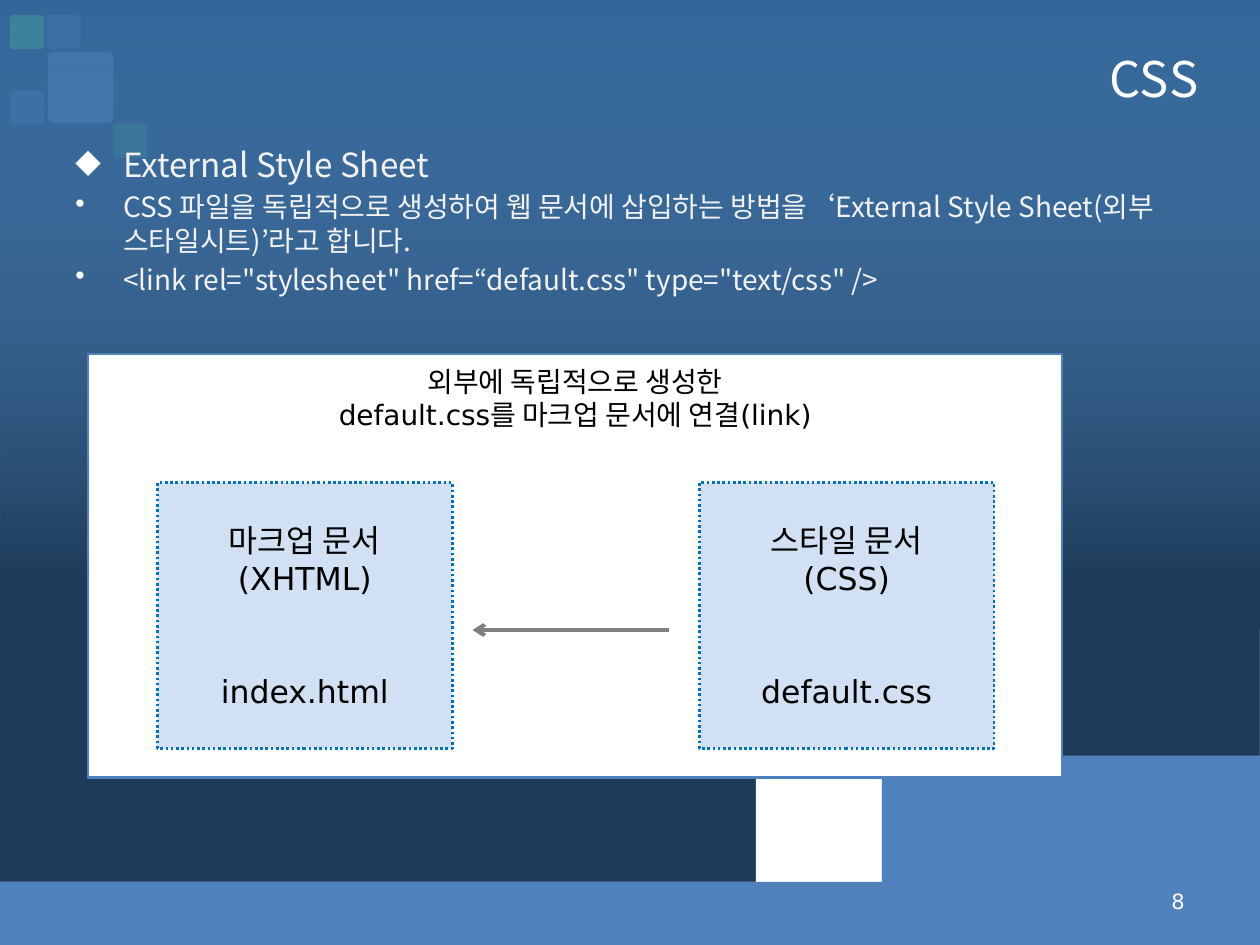
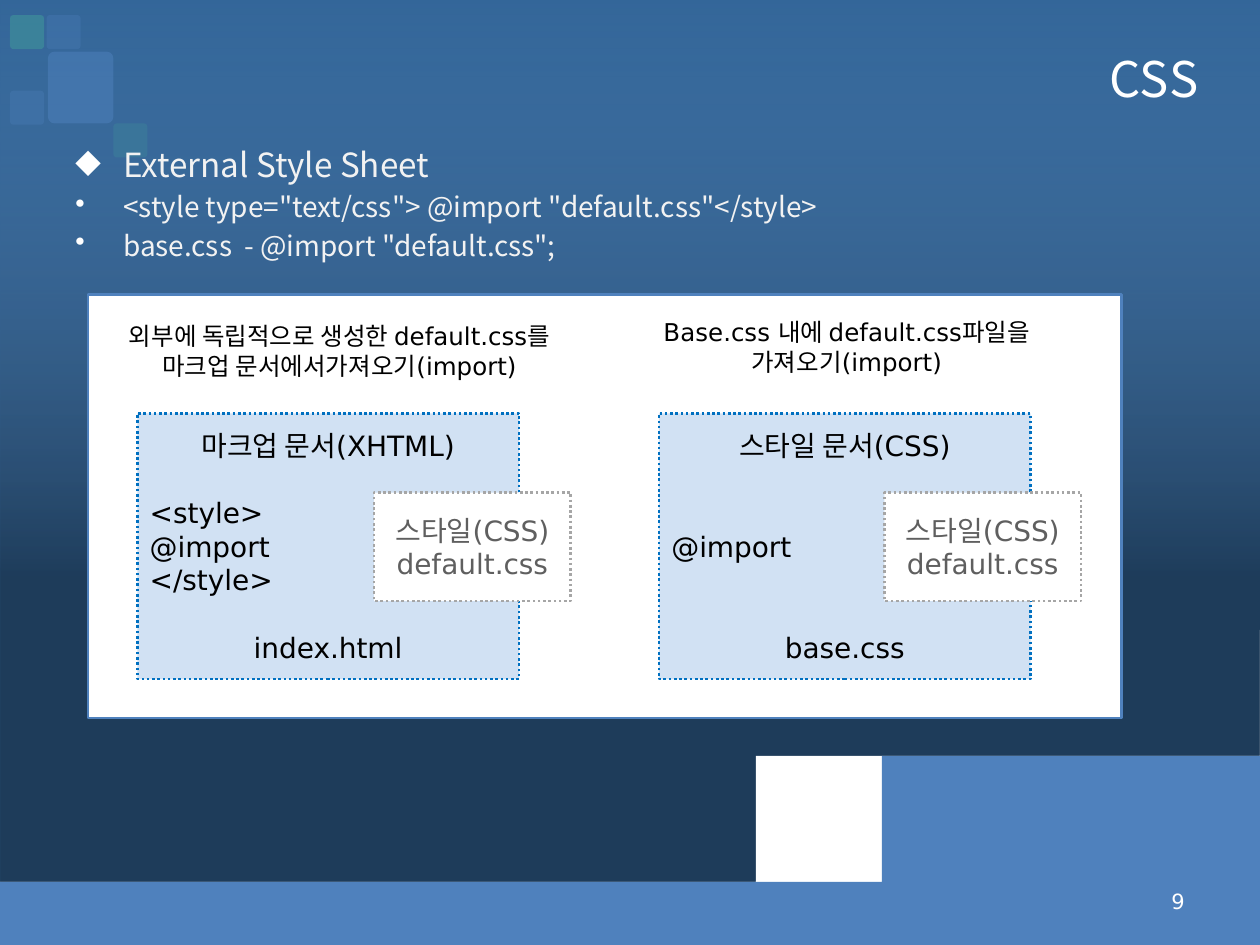
from lxml.etree import SubElement
from pptx import Presentation
from pptx.dml.color import RGBColor
from pptx.enum.dml import MSO_LINE
from pptx.enum.shapes import MSO_CONNECTOR, MSO_SHAPE
from pptx.enum.text import MSO_ANCHOR, PP_ALIGN
from pptx.oxml.ns import qn
from pptx.util import Inches, Pt

COLORS = {
    "base": "336699", "sky": "8DB3E2", "black": "000000", "white": "FFFFFF",
    "blue": "4F81BD", "teal": "3F949A", "body": "F2F2F2", "box": "D1E1F3",
    "box_line": "0070C0", "arrow": "808080", "tag_line": "A6A6A6", "tag_text": "5F5F5F",
}
SANS, KOREAN = "DejaVu Sans", "Noto Sans CJK KR"
LINE = 1.2  # line pitch as a multiple of the text size

# Upper edge of each wave: start point, then Bezier segments
WAVES = [
    ("white", (0, 6.78), [((1.61, 6.85), (2.93, 6.82), (5.21, 6.59)),
                          ((7.49, 6.36), (9.48, 5.59), (10, 5.4))]),
    ("blue", (0, 6.91), [((2.46, 6.99), (4.45, 6.86), (6.15, 6.68)),
                         ((7.84, 6.49), (9.59, 5.99), (10, 5.87))]),
]
# Corner tiles: left, top, width, height, colour, opacity
TILES = [
    (0.37, 0.12, 0.27, 0.27, "blue", 30),
    (0.08, 0.72, 0.27, 0.27, "blue", 30),
    (0.08, 0.12, 0.27, 0.27, "teal", 60),
    (0.9, 0.98, 0.27, 0.27, "teal", 30),
    (0.38, 0.41, 0.52, 0.57, "blue", 50),
]


def rgb(name):
    return RGBColor.from_string(COLORS[name])


def set_alpha(shape, *percents):
    """Set the opacity of the fill colours, in order."""
    for clr, pct in zip(shape.element.spPr.iter(qn("a:srgbClr")), percents):
        SubElement(clr, qn("a:alpha")).set("val", str(pct * 1000))


def bezier(p0, p1, p2, p3, steps=24):
    for t in (i / steps for i in range(1, steps + 1)):
        u = 1 - t
        yield tuple(u**3 * a + 3 * u * u * t * b + 3 * u * t * t * c + t**3 * d
                    for a, b, c, d in zip(p0, p1, p2, p3))


def add_text(tf, text, size=16, font=SANS, color="black", align=PP_ALIGN.CENTER,
             before=0, spacing=None, bullet=None, track=None):
    """Write one paragraph, using the empty first one if there is one."""
    p = tf.paragraphs[0]
    if p.runs:
        p = tf.add_paragraph()
    p.alignment, p.space_before = align, Pt(before)
    if spacing:
        p.line_spacing = spacing
    if bullet:
        pPr = p._p.get_or_add_pPr()
        pPr.set("marL", str(Inches(0.38)))
        pPr.set("indent", str(-Inches(0.38)))
        clr = SubElement(pPr, qn("a:buClr"))
        SubElement(clr, qn("a:srgbClr")).set("val", COLORS["white"])
        SubElement(pPr, qn("a:buChar")).set("char", bullet)
    r = p.add_run()
    r.text = text
    r.font.size, r.font.name = Pt(size), font
    r.font.color.rgb = rgb(color)
    if track:
        r._r.get_or_add_rPr().set("spc", str(track))
    return p


class Deck:
    def __init__(self):
        self.prs = Presentation()
        self.prs.slide_width, self.prs.slide_height = Inches(10), Inches(7.5)
        self.s = None

    def slide(self, title, number, heading, bullets):
        self.s = self.prs.slides.add_slide(self.prs.slide_layouts[6])
        self.backdrop()
        # Body
        tf = self.text_frame(0.5, 0.94, 9.11, 6.17)
        style = dict(font=KOREAN, color="body", align=PP_ALIGN.LEFT)
        add_text(tf, heading, size=19, before=4, spacing=1.5, bullet="◆", **style)
        for text in bullets:
            add_text(tf, text, before=3, bullet="•", **style)
        # Title and slide number
        tf = self.text_frame(0.5, 0.3, 9.11, 0.64, MSO_ANCHOR.MIDDLE)
        add_text(tf, title, size=28, font=KOREAN, color="white",
                 align=PP_ALIGN.RIGHT, track=50)
        tf = self.text_frame(7.17, 6.95, 2.33, 0.4, MSO_ANCHOR.MIDDLE)
        add_text(tf, str(number), size=12, color="white", align=PP_ALIGN.RIGHT)

    def backdrop(self):
        fill = self.s.background.fill
        fill.solid()
        fill.fore_color.rgb = rgb("base")
        # Shade that darkens downwards
        shade = self.shape(0, 0, 10, 7.5, "sky")
        shade.fill.gradient()
        shade.fill.gradient_angle = 270
        for stop, color, pos in zip(shade.fill.gradient_stops, ("sky", "black"), (0, 0.61)):
            stop.color.rgb, stop.position = rgb(color), pos
        set_alpha(shade, 0, 40)
        for wave in WAVES:
            self.wave(*wave)
        for x, y, w, h, color, opacity in TILES:
            tile = self.shape(x, y, w, h, color, kind=MSO_SHAPE.ROUNDED_RECTANGLE)
            tile.adjustments[0] = 0.1
            set_alpha(tile, opacity)

    def wave(self, color, start, segments):
        points, p0 = [], start
        for seg in segments:
            points += bezier(p0, *seg)
            p0 = seg[-1]
        fb = self.s.shapes.build_freeform(*start, scale=Inches(1))
        fb.add_line_segments(points + [(10, 7.5), (0, 7.5)], close=True)
        self.paint(fb.convert_to_shape(), color)

    def paint(self, shape, fill, line=None, dash=None):
        shape.shadow.inherit = False
        shape.fill.solid()
        shape.fill.fore_color.rgb = rgb(fill)
        if line:
            shape.line.color.rgb = rgb(line)
            shape.line.width = Pt(1.5)
            if dash:
                shape.line.dash_style = dash
        else:
            shape.line.fill.background()
        return shape

    def shape(self, x, y, w, h, fill, line=None, dash=None, kind=MSO_SHAPE.RECTANGLE):
        sp = self.s.shapes.add_shape(kind, Inches(x), Inches(y), Inches(w), Inches(h))
        return self.paint(sp, fill, line, dash)

    def text_frame(self, x, y, w, h, anchor=MSO_ANCHOR.TOP):
        tf = self.s.shapes.add_textbox(Inches(x), Inches(y), Inches(w), Inches(h)).text_frame
        tf.word_wrap, tf.vertical_anchor = True, anchor
        return tf

    def panel(self, y, w):
        return self.shape(0.7, y, w, 3.36, "white", "blue").text_frame

    def caption(self, x, y, w, lines):
        tf = self.text_frame(x, y, w, 0.57)
        for text in lines:
            add_text(tf, text, size=14)

    def box(self, x, y, w, h, lines, size=16, fill="box", line="box_line", color="black"):
        """Dotted box; each line is text, blank lines above it, alignment."""
        sp = self.shape(x, y, w, h, fill, line, MSO_LINE.ROUND_DOT)
        tf = sp.text_frame
        tf.vertical_anchor = MSO_ANCHOR.MIDDLE
        for text, gap, align in lines:
            add_text(tf, text, size=size, color=color, align=align,
                     before=round(gap * LINE * size, 1))

    def tag(self, x):
        lines = [centred("스타일(CSS)"), centred("default.css")]
        self.box(x, 3.91, 1.56, 0.86, lines, fill="white", line="tag_line", color="tag_text")

    def arrow(self, x1, x2, y):
        c = self.s.shapes.add_connector(MSO_CONNECTOR.STRAIGHT, Inches(x1), Inches(y),
                                        Inches(x2), Inches(y))
        c.line.color.rgb, c.line.width = rgb("arrow"), Pt(2.25)
        SubElement(c.line._get_or_add_ln(), qn("a:tailEnd")).set("type", "arrow")
        SubElement(c.element.spPr, qn("a:effectLst"))


def centred(text, gap=0):
    return text, gap, PP_ALIGN.CENTER


def left(text, gap=0):
    return text, gap, PP_ALIGN.LEFT


def link_slide(deck):
    deck.slide("CSS", 8, "External Style Sheet", [
        "CSS 파일을 독립적으로 생성하여 웹 문서에 삽입하는 방법을‘External Style Sheet(외부 스타일시트)’라고 합니다.",
        '<link rel="stylesheet" href=“default.css" type="text/css" />',
    ])
    tf = deck.panel(2.81, 7.73)
    tf.vertical_anchor, tf.margin_top = MSO_ANCHOR.TOP, Inches(0.08)
    for text in ("외부에 독립적으로 생성한", "default.css를 마크업 문서에 연결(link)"):
        add_text(tf, text)
    # The two documents and the link between them
    documents = [(1.25, "마크업 문서", "(XHTML)", "index.html"),
                 (5.55, "스타일 문서", "(CSS)", "default.css")]
    for x, name, language, file_name in documents:
        lines = [centred(name), centred(language), centred(file_name, 2)]
        deck.box(x, 3.83, 2.34, 2.11, lines, size=18)
    deck.arrow(5.31, 3.75, 5)


def import_slide(deck):
    deck.slide("CSS", 9, "External Style Sheet", [
        '<style type="text/css"> @import "default.css"</style>',
        'base.css  - @import "default.css";',
    ])
    deck.panel(2.34, 8.2)
    deck.caption(0.78, 2.5, 3.83, ["외부에 독립적으로 생성한 default.css를",
                                   "마크업 문서에서가져오기(import)"])
    deck.caption(5, 2.47, 3.44, ["Base.css 내에 default.css파일을", "가져오기(import)"])
    # Import into the markup document
    deck.box(1.09, 3.28, 3.03, 2.11, [
        centred("마크업 문서(XHTML)"), left("<style>", 1), left("@import"),
        left("</style>"), centred("index.html", 1)])
    deck.tag(2.97)
    # Import into another style sheet
    deck.box(5.23, 3.28, 2.95, 2.11, [
        centred("스타일 문서(CSS)"), left("@import", 2), centred("base.css", 2)])
    deck.tag(7.02)


def main():
    deck = Deck()
    link_slide(deck)
    import_slide(deck)
    deck.prs.save("out.pptx")


if __name__ == "__main__":
    main()
